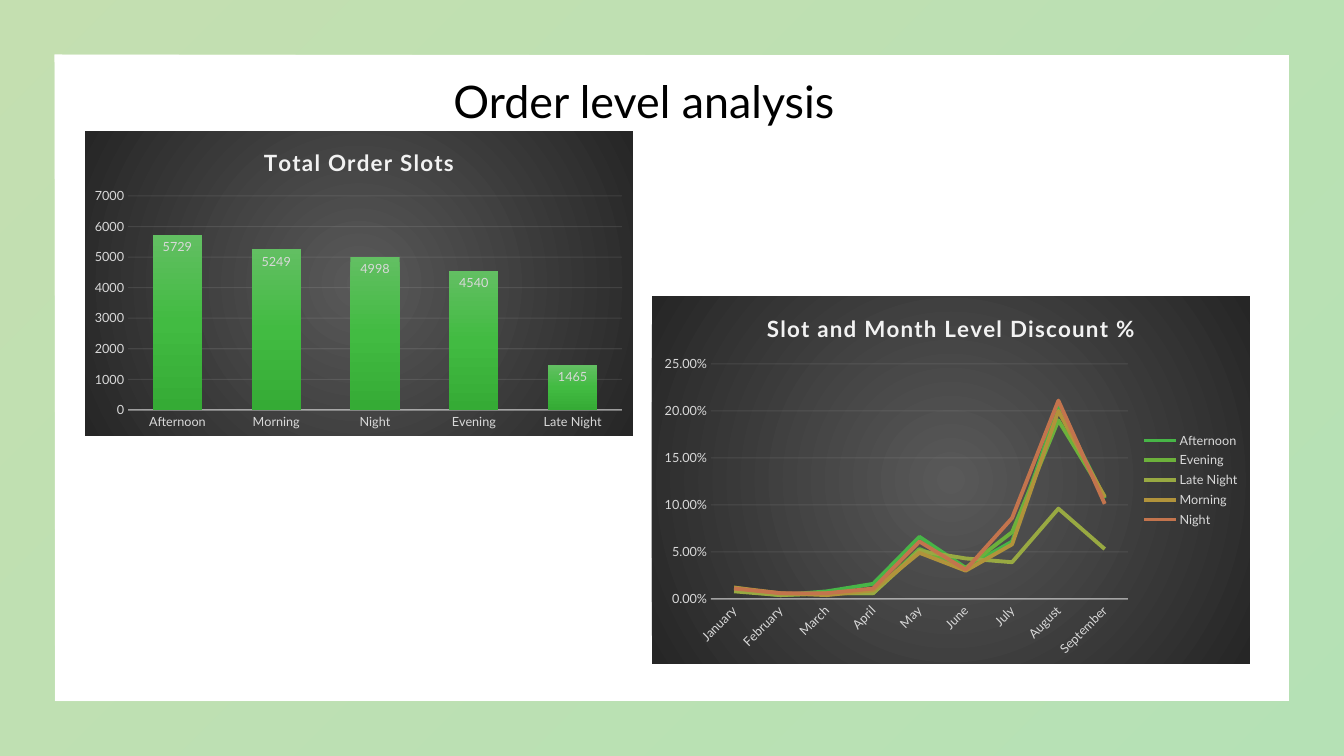
from lxml.etree import SubElement
from pptx import Presentation
from pptx.chart.data import CategoryChartData
from pptx.dml.color import RGBColor
from pptx.enum.chart import (XL_CHART_TYPE, XL_LABEL_POSITION,
                             XL_LEGEND_POSITION, XL_TICK_MARK)
from pptx.enum.shapes import MSO_SHAPE
from pptx.enum.text import PP_ALIGN
from pptx.oxml import parse_xml
from pptx.oxml.ns import nsdecls, qn
from pptx.util import Pt

PX = 914400 / 100.8
SLIDE = (1344, 756)
FONT = "Lato"
COLORS = {
    "title": "000000", "heading": "F2F2F2", "label": "D9D9D9", "rule": "F2F2F2",
    "panel_in": "595959", "panel_out": "262626",
    "frame_from": "6CB13B", "frame_to": "47B547",
    "bar_top": "62BF62", "bar_mid": "42BB42", "bar_end": "35AB35",
    "Afternoon": "47B547", "Evening": "6CB13B", "Late Night": "98A942",
    "Morning": "B1933B", "Night": "C3744D",
}
LABEL = {"size": Pt(9), "name": FONT, "bold": False}
HEADING = {"size": Pt(16), "name": FONT, "bold": True}
TITLE = {"size": Pt(32), "name": FONT}

SLOTS = {"Afternoon": 5729, "Morning": 5249, "Night": 4998,
         "Evening": 4540, "Late Night": 1465}
MONTHS = ["January", "February", "March", "April", "May",
          "June", "July", "August", "September"]
DISCOUNTS = {
    "Afternoon": [.009, .004, .008, .016, .066, .033, .061, .205, .107],
    "Evening": [.012, .004, .006, .006, .053, .033, .071, .19, .109],
    "Late Night": [.008, .004, .006, .006, .051, .043, .039, .096, .053],
    "Morning": [.012, .006, .004, .009, .049, .03, .058, .2, .108],
    "Night": [.011, .006, .006, .011, .061, .031, .086, .211, .101],
}


def px(*values):
    return [round(v * PX) for v in values]


def rgb(name):
    return RGBColor.from_string(COLORS[name])


def apply(obj, fmt):
    for key, value in fmt.items():
        setattr(obj, key, value)


def style_font(font, fmt, color):
    apply(font, fmt)
    font.color.rgb = rgb(color)


def gradient(stops, angle=None, alpha=100):
    """Gradient fill from {percent: colour}; circular when no angle is given."""
    gs = "".join(
        f'<a:gs pos="{pos * 1000}"><a:srgbClr val="{COLORS[c]}">'
        f'<a:alpha val="{alpha * 1000}"/></a:srgbClr></a:gs>'
        for pos, c in stops.items())
    if angle is None:
        way = ('<a:path path="circle"><a:fillToRect l="50000" t="50000" '
               'r="50000" b="50000"/></a:path>')
    else:
        way = f'<a:lin ang="{angle * 60000}" scaled="0"/>'
    return parse_xml(f'<a:gradFill {nsdecls("a")} rotWithShape="1">'
                     f'<a:gsLst>{gs}</a:gsLst>{way}</a:gradFill>')


def fill_gradient(fill, spPr, *args):
    fill.background()
    spPr.replace(spPr.find(qn("a:noFill")), gradient(*args))


def style_line(line, color, width, alpha=100):
    line.color.rgb = rgb(color)
    line.width = Pt(width)
    clr = line._get_or_add_ln().find(".//" + qn("a:srgbClr"))
    SubElement(clr, qn("a:alpha")).set("val", str(alpha * 1000))


def add_frame(s):
    sp = s.shapes.add_shape(MSO_SHAPE.FRAME, *px(0, 0, *SLIDE))
    sp.shadow.inherit = False
    sp.adjustments[0] = 0.072
    sp.line.fill.background()
    fill_gradient(sp.fill, sp._element.spPr,
                  {0: "frame_from", 100: "frame_to"}, 45, 40)


def add_title(s, text, box, indent):
    tf = s.shapes.add_textbox(*px(*box)).text_frame
    tf.word_wrap = True
    p = tf.paragraphs[0]
    apply(p, {"alignment": PP_ALIGN.CENTER, "line_spacing": 1.15,
              "space_after": Pt(8)})
    p._p.get_or_add_pPr().set("marL", str(px(indent)[0]))
    r = p.add_run()
    r.text = text
    style_font(r.font, TITLE, "title")


def set_plot_area(chart, box, plot):
    """Pin the inner plot area; both boxes are in slide px."""
    fractions = {"x": (plot[0] - box[0]) / box[2], "y": (plot[1] - box[1]) / box[3],
                 "w": plot[2] / box[2], "h": plot[3] / box[3]}
    modes = "".join(f'<c:{k}Mode val="edge"/>' for k in "xy")
    sizes = "".join(f'<c:{k} val="{v:.4f}"/>' for k, v in fractions.items())
    layout = parse_xml(f'<c:layout {nsdecls("c")}><c:manualLayout>'
                       f'<c:layoutTarget val="inner"/>{modes}{sizes}'
                       '</c:manualLayout></c:layout>')
    area = chart._chartSpace.chart.plotArea
    for old in area.findall(qn("c:layout")):
        area.remove(old)
    area.insert(0, layout)


def add_dark_chart(s, kind, title, cats, series, box, plot, top, step, fmt):
    data = CategoryChartData(number_format=fmt)
    data.categories = cats
    for name, values in series.items():
        data.add_series(name, values)
    chart = s.shapes.add_chart(kind, *px(*box), data).chart
    apply(chart.font, {"size": Pt(10), "name": FONT})
    panel = parse_xml(f'<c:spPr {nsdecls("c", "a")}><a:ln><a:noFill/></a:ln></c:spPr>')
    panel.insert(0, gradient({0: "panel_in", 100: "panel_out"}))
    chart._chartSpace.find(qn("c:txPr")).addprevious(panel)

    r = chart.chart_title.text_frame.paragraphs[0].add_run()
    r.text = title
    style_font(r.font, HEADING, "heading")
    r._r.get_or_add_rPr().set("spc", "100")
    chart.chart_title.include_in_layout = False
    chart.has_legend = False

    cat, val = chart.category_axis, chart.value_axis
    for axis in (cat, val):
        apply(axis, {"major_tick_mark": XL_TICK_MARK.NONE,
                     "minor_tick_mark": XL_TICK_MARK.NONE})
        style_font(axis.tick_labels.font, LABEL, "label")
    style_line(cat.format.line, "rule", 1, 54)
    val.format.line.fill.background()
    apply(val, {"minimum_scale": 0, "maximum_scale": top, "major_unit": step})
    apply(val.tick_labels, {"number_format": fmt, "number_format_is_linked": False})
    style_line(val.major_gridlines.format.line, "rule", 0.75, 10)
    set_plot_area(chart, box, plot)
    return chart


def add_slot_chart(s):
    chart = add_dark_chart(
        s, XL_CHART_TYPE.COLUMN_CLUSTERED, "Total Order Slots", list(SLOTS),
        {"Series 1": SLOTS.values()}, (85, 131, 548, 305), (128, 196, 494, 214),
        7000, 1000, "0")
    bars = chart.plots[0]
    apply(bars, {"gap_width": 100, "overlap": -24, "vary_by_categories": False,
                 "has_data_labels": True})
    apply(bars.data_labels, {"show_value": True, "number_format": "0",
                             "number_format_is_linked": False,
                             "position": XL_LABEL_POSITION.INSIDE_END})
    style_font(bars.data_labels.font, LABEL, "label")
    ser = bars.series[0]
    fill_gradient(ser.format.fill, ser._element.get_or_add_spPr(),
                  {0: "bar_top", 50: "bar_mid", 100: "bar_end"}, 90)


def add_discount_chart(s):
    chart = add_dark_chart(
        s, XL_CHART_TYPE.LINE, "Slot and Month Level Discount %", MONTHS,
        DISCOUNTS, (652, 296, 598, 368), (711, 364, 417, 235),
        0.25, 0.05, "0.00%")
    chart.has_legend = True
    apply(chart.legend, {"position": XL_LEGEND_POSITION.RIGHT,
                         "include_in_layout": False})
    style_font(chart.legend.font, LABEL, "label")
    txPr = chart.category_axis._element.find(qn("c:txPr"))
    txPr.find(qn("a:bodyPr")).set("rot", str(-45 * 60000))
    chart.plots[0].vary_by_categories = False
    for ser in chart.plots[0].series:
        ser.smooth = False
        style_line(ser.format.line, ser.name, 2.75)


def main():
    prs = Presentation()
    prs.slide_width, prs.slide_height = px(*SLIDE)
    s = prs.slides.add_slide(prs.slide_layouts[6])
    add_frame(s)
    add_title(s, "Order level analysis", (-56, 61, 1342, 70), 58)
    add_slot_chart(s)
    add_discount_chart(s)
    prs.save("out.pptx")


if __name__ == "__main__":
    main()
